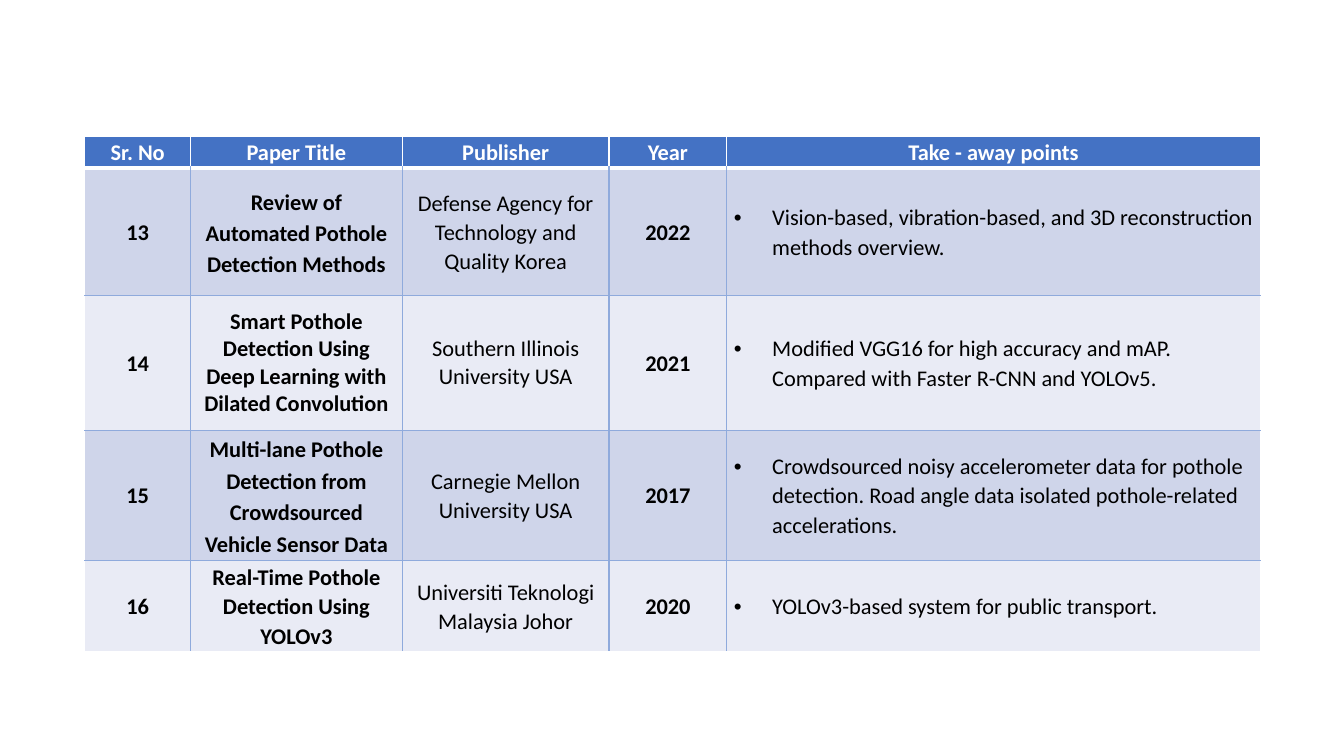
from lxml import etree
from pptx import Presentation
from pptx.dml.color import RGBColor
from pptx.enum.text import MSO_ANCHOR, PP_ALIGN
from pptx.oxml.ns import qn
from pptx.util import Inches, Pt

MIDDLE = MSO_ANCHOR.MIDDLE
CENTER, LEFT = PP_ALIGN.CENTER, PP_ALIGN.LEFT

HEADINGS = ("Sr. No", "Paper Title", "Publisher", "Year", "Take - away points")
PAPERS = [
    ("13", "Review of Automated Pothole Detection Methods",
     "Defense Agency for Technology and Quality Korea", "2022",
     "Vision-based, vibration-based, and 3D reconstruction methods overview."),
    ("14", "Smart Pothole Detection Using Deep Learning with Dilated Convolution",
     "Southern Illinois University USA", "2021",
     "Modified VGG16 for high accuracy and mAP. Compared with Faster R-CNN and YOLOv5."),
    ("15", "Multi-lane Pothole Detection from Crowdsourced Vehicle Sensor Data",
     "Carnegie Mellon University USA", "2017",
     "Crowdsourced noisy accelerometer data for pothole detection. "
     "Road angle data isolated pothole-related accelerations."),
    ("16", "Real-Time Pothole Detection Using YOLOv3",
     "Universiti Teknologi Malaysia Johor", "2020",
     "YOLOv3-based system for public transport."),
]
ROWS = [HEADINGS, *PAPERS]
COLUMN_WIDTHS = (1.05, 2.1, 2.05, 1.17, 5.29)
ROW_HEIGHTS = (0.32, 1.26, 1.34, 1.29, 0.91)
TABLE_LEFT, TABLE_TOP = 0.84, 1.35
NUMBER, TITLE, PUBLISHER, YEAR, POINTS = range(len(HEADINGS))
LAST_ROW, LAST_COLUMN = len(ROWS) - 1, len(HEADINGS) - 1

THEME = {
    "font": "Calibri", "size": 16,
    "header_text": "FFFFFF", "body_text": "000000",
    "header_fill": "4472C4", "band_fills": ("E9EBF5", "CFD5EA"),
    "outer_line": "FFFFFF", "inner_line": "8FAADC",
    "line": 1, "header_line": 3,
}
LINE_SPACING = 1.07
TITLE_SPACING = {1: 1.15, 2: 1.0, 3: 1.15}
SPACE_AFTER = {NUMBER: 8, TITLE: 0, PUBLISHER: 0, YEAR: 8, POINTS: 6}
SPACE_AFTER_EXCEPTIONS = {(4, PUBLISHER): 8, (4, POINTS): 0}
PADDED_CELLS = {(2, TITLE), (2, PUBLISHER)}
BULLET_INDENT = 0.38


def set_borders(cell, row, column):
    """White around the table and its header, blue between body cells."""
    properties = cell._tc.get_or_add_tcPr()
    sides = (
        ("a:lnL", column == 0, False),
        ("a:lnR", column == LAST_COLUMN, False),
        ("a:lnT", row <= 1, row == 1),
        ("a:lnB", row == LAST_ROW, row == 0),
    )
    for position, (tag, is_outer, is_header_edge) in enumerate(sides):
        color = THEME["outer_line" if is_outer or row == 0 else "inner_line"]
        width = THEME["header_line" if is_header_edge else "line"]
        line = etree.Element(qn(tag), w=str(Pt(width)))
        fill = etree.SubElement(line, qn("a:solidFill"))
        etree.SubElement(fill, qn("a:srgbClr"), val=color)
        properties.insert(position, line)


def add_bullet(paragraph):
    properties = paragraph._p.get_or_add_pPr()
    indent = Inches(BULLET_INDENT)
    properties.set("marL", str(indent))
    properties.set("indent", str(-indent))
    etree.SubElement(properties, qn("a:buFont"), typeface="Arial")
    etree.SubElement(properties, qn("a:buChar"), char="•")


def fill_cell(cell, row, column, text):
    is_header = row == 0
    is_padded = (row, column) in PADDED_CELLS
    fill_color = THEME["header_fill"] if is_header else THEME["band_fills"][row % 2]
    cell.fill.solid()
    cell.fill.fore_color.rgb = RGBColor.from_string(fill_color)
    set_borders(cell, row, column)
    cell.vertical_anchor = MIDDLE
    cell.margin_left = cell.margin_right = Inches(0.1 if is_padded else 0.07)
    cell.margin_top = cell.margin_bottom = Inches(0.05 if is_padded else 0)

    paragraph = cell.text_frame.paragraphs[0]
    is_point = column == POINTS and not is_header
    if is_point:
        add_bullet(paragraph)
    paragraph.alignment = LEFT if is_point else CENTER
    spacing = LINE_SPACING
    if column == TITLE:
        spacing = TITLE_SPACING.get(row, LINE_SPACING)
    paragraph.line_spacing = 1.0 if is_padded else spacing
    space_after = SPACE_AFTER_EXCEPTIONS.get((row, column), SPACE_AFTER[column])
    paragraph.space_after = Pt(8 if is_header else space_after)

    run = paragraph.add_run()
    run.text = text
    run.font.name = THEME["font"]
    run.font.size = Pt(THEME["size"])
    run.font.bold = is_header or column in (NUMBER, TITLE, YEAR)
    text_color = THEME["header_text" if is_header else "body_text"]
    run.font.color.rgb = RGBColor.from_string(text_color)


def main():
    presentation = Presentation()
    presentation.slide_width = Inches(13.33)
    presentation.slide_height = Inches(7.5)
    slide = presentation.slides.add_slide(presentation.slide_layouts[6])
    table = slide.shapes.add_table(
        len(ROWS), len(HEADINGS), Inches(TABLE_LEFT), Inches(TABLE_TOP),
        Inches(sum(COLUMN_WIDTHS)), Inches(sum(ROW_HEIGHTS))).table
    for column, width in zip(table.columns, COLUMN_WIDTHS):
        column.width = Inches(width)
    for table_row, height in zip(table.rows, ROW_HEIGHTS):
        table_row.height = Inches(height)
    for row, texts in enumerate(ROWS):
        for column, text in enumerate(texts):
            fill_cell(table.cell(row, column), row, column, text)
    presentation.save("out.pptx")


if __name__ == "__main__":
    main()
